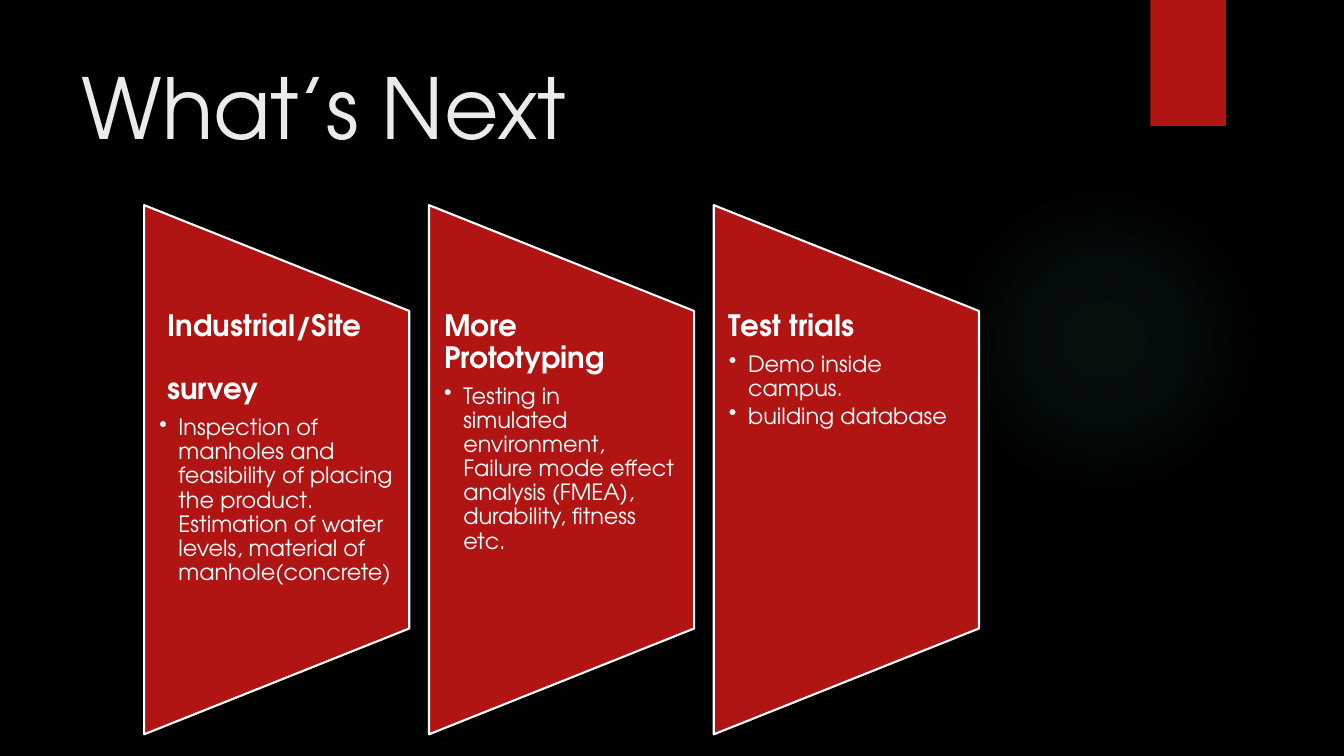
import pptx
import pptx.util
import pptx.dml.color
import pptx.enum.shapes
import pptx.enum.text
import pptx.oxml
import pptx.oxml.ns
from dataclasses import dataclass

# Content: heading lines, then bullets ("\n" marks a line break)
TITLE = "What’s Next"
CARDS = [
    (["Industrial/Site", "survey"],
     ["Inspection of manholes and feasibility of placing the product. "
      "Estimation of water levels, material of manhole(concrete)"]),
    (["More Prototyping"],
     ["Testing in\nsimulated environment, Failure mode effect analysis "
      "(FMEA), durability, fitness etc."]),
    (["Test trials"],
     ["Demo inside campus.", "building database"]),
]


@dataclass
class Theme:
    font: str = "TeX Gyre Adventor"
    back: str = "000000"
    red: str = "B01513"
    white: str = "FFFFFF"
    pale: str = "EBEBEB"
    glow: str = "50B9C1"
    title: int = 60
    head: int = 21
    body: int = 16


T = Theme()
Inches = pptx.util.Inches
Pt = pptx.util.Pt
SHAPE = pptx.enum.shapes.MSO_SHAPE
NS = pptx.oxml.ns.nsdecls("a")

# Card grid
LEFT, STEP, WIDE, HIGH, MID = 1.43, 2.825, 2.63, 5.25, 4.66
TEXT_H, INSET, INDENT = 3.15, 0.15, 0.19


def color(code):
    return pptx.dml.color.RGBColor.from_string(code)


def box(x, y, w, h):
    return [Inches(n) for n in (x, y, w, h)]


def draw(slide, kind, place, fill, line=None):
    shape = slide.shapes.add_shape(kind, *box(*place))
    shape.shadow.inherit = False
    shape.fill.solid()
    shape.fill.fore_color.rgb = color(fill)
    if line:
        shape.line.color.rgb = color(line)
        shape.line.width = Pt(1.5)
    else:
        shape.line.fill.background()
    return shape


def write(para, text, size, tint, bold=False):
    for i, part in enumerate(text.split("\n")):
        if i:
            para.add_line_break()
        run = para.add_run()
        run.text = part
        run.font.name = T.font
        run.font.size = Pt(size)
        run.font.bold = bold
        run.font.color.rgb = color(tint)


def indent(para, left, first=0, mark=None):
    props = para._p.get_or_add_pPr()
    props.set("marL", str(Inches(left)))
    props.set("indent", str(Inches(first)))
    if mark:
        props.append(pptx.oxml.parse_xml(f'<a:buChar {NS} char="{mark}"/>'))


def glow(slide):
    shape = draw(slide, SHAPE.OVAL, (9.41, 1.83, 3.08, 3.08), T.glow)
    stops = "".join(
        f'<a:gs pos="{pos * 1000}"><a:srgbClr val="{T.glow}">'
        f'<a:alpha val="{alpha * 1000}"/></a:srgbClr></a:gs>'
        for pos, alpha in [(0, 7), (36, 6), (69, 0)])
    grad = pptx.oxml.parse_xml(
        f'<a:gradFill {NS}><a:gsLst>{stops}</a:gsLst><a:path path="circle">'
        '<a:fillToRect l="50000" t="50000" r="50000" b="50000"/>'
        '</a:path></a:gradFill>')
    solid = shape._element.spPr.find(pptx.oxml.ns.qn("a:solidFill"))
    solid.getparent().replace(solid, grad)


def card(slide, x, heads, points):
    # The preset is turned on its side, so width and height swap
    panel = draw(slide, SHAPE.FLOWCHART_MANUAL_OPERATION,
                 (x + (WIDE - HIGH) / 2, MID - WIDE / 2, HIGH, WIDE),
                 T.red, T.white)
    panel.rotation = 270

    frame = slide.shapes.add_textbox(
        *box(x, MID - TEXT_H / 2, WIDE, TEXT_H)).text_frame
    frame.word_wrap = True
    frame.margin_left = frame.margin_right = Inches(INSET)
    frame.margin_top = frame.margin_bottom = 0

    paras = [frame.paragraphs[0]]
    paras += [frame.add_paragraph() for _ in heads[1:] + points]
    for para in paras:
        para.line_spacing = 0.9
    for i, (para, text) in enumerate(zip(paras, heads)):
        last = i == len(heads) - 1
        para.space_after = Pt(7.35 if last else 0)
        if i:
            para.space_before = Pt(22.5)
        if len(heads) > 1:
            indent(para, 0.08)
        write(para, text, T.head, T.white, True)
    for para, text in zip(paras[len(heads):], points):
        para.space_after = Pt(2.4)
        indent(para, INDENT, -INDENT, "•")
        write(para, text, T.body, T.white)


def main():
    deck = pptx.Presentation()
    deck.slide_width, deck.slide_height = Inches(13.33), Inches(7.5)
    slide = deck.slides.add_slide(deck.slide_layouts[5])
    slide.background.fill.solid()
    slide.background.fill.fore_color.rgb = color(T.back)

    # Backdrop
    glow(slide)
    draw(slide, SHAPE.RECTANGLE, (11.41, 0, 0.75, 1.25), T.red)

    # Title
    title = slide.shapes.title
    title.left, title.top, title.width, title.height = box(
        0.71, 0.5, 10.29, 1.53)
    frame = title.text_frame
    frame.word_wrap = True
    frame.vertical_anchor = pptx.enum.text.MSO_ANCHOR.TOP
    para = frame.paragraphs[0]
    para.alignment = pptx.enum.text.PP_ALIGN.LEFT
    write(para, TITLE, T.title, T.pale)

    # Cards
    for i, (heads, points) in enumerate(CARDS):
        card(slide, LEFT + i * STEP, heads, points)

    deck.save("out.pptx")


if __name__ == "__main__":
    main()
